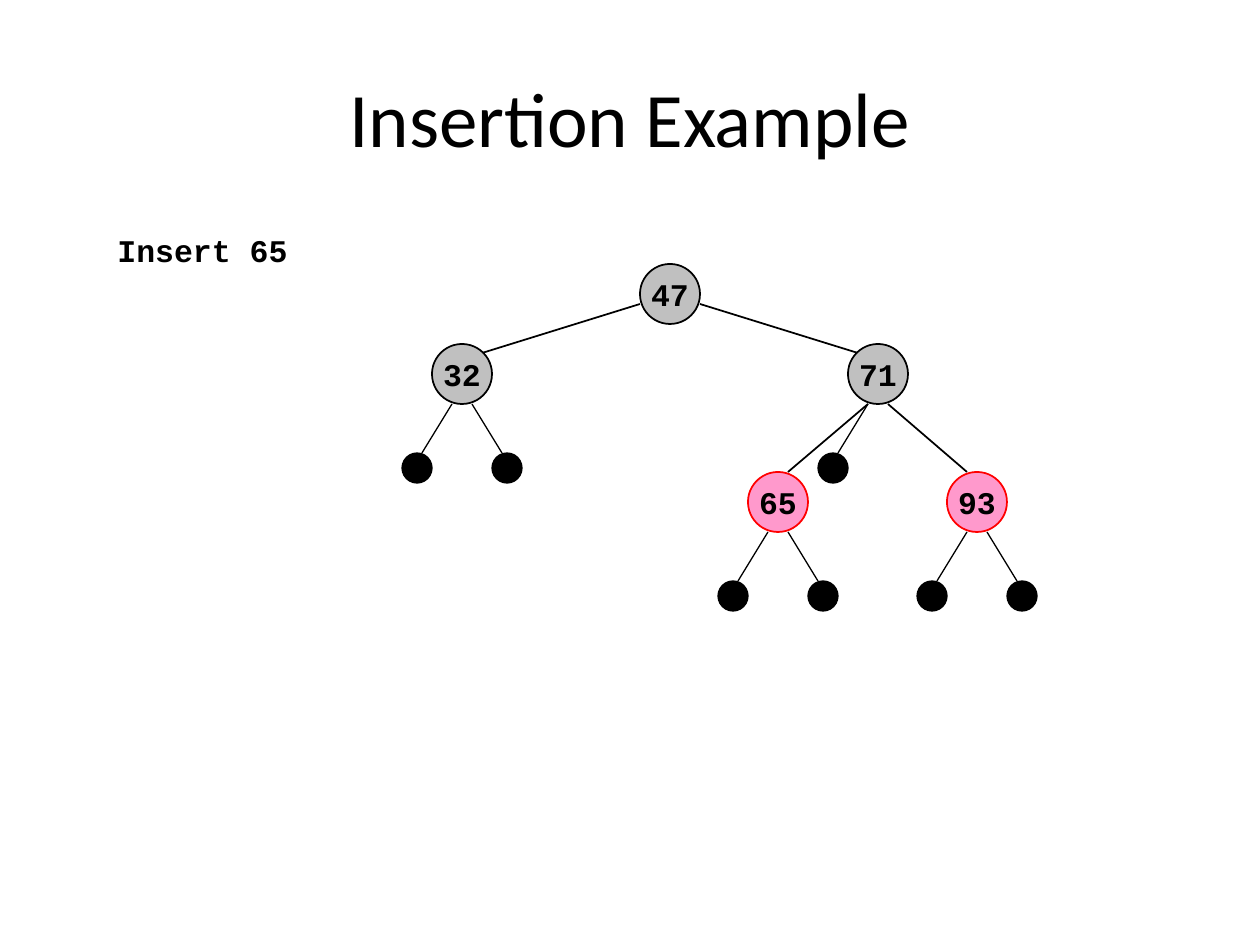
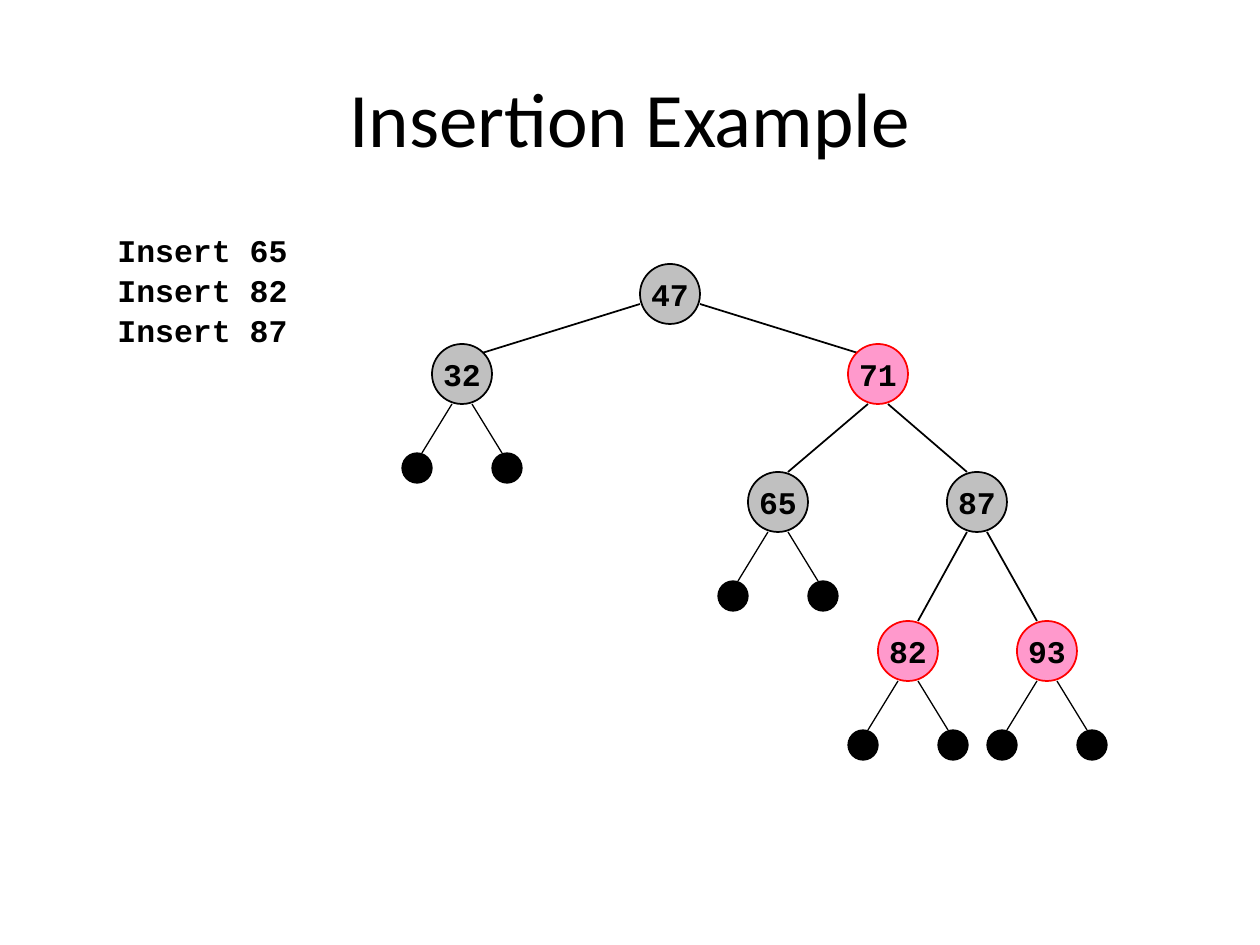
from pptx import Presentation
from pptx import util as u
from pptx.dml.color import RGBColor
from pptx.enum import shapes, text
from pptx.oxml import parse_xml
from pptx.oxml.ns import nsdecls

BLACK = RGBColor(0x00, 0x00, 0x00)
GREY = RGBColor(0xC0, 0xC0, 0xC0)
PINK = RGBColor(0xFF, 0x99, 0xCC)
RED = RGBColor(0xFF, 0x00, 0x00)
TITLE_FONT, CODE_FONT = "Calibri", "Courier New"

TITLE = "Insertion Example"
LEFT, RIGHT = -1, 1
BOTH = (LEFT, RIGHT)
CENTRES = {
    "root": (670, 294),
    "left": (462, 374),
    "right": (878, 374),
    "right left": (778, 502),
    "right right": (977, 502),
    "low left": (908, 651),
    "low right": (1047, 651),
}
CHILDREN = {
    "root": ("left", "right"),
    "right": ("right left", "right right"),
    "right right": ("low left", "low right"),
}
STEPS = [
    {
        "commands": ["Insert 65"],
        "keys": {"root": 47, "left": 32, "right": 71,
                 "right left": 65, "right right": 93},
        "red": {"right left", "right right"},
        "leaves": {"left": BOTH, "right left": BOTH,
                   "right right": BOTH, "right": (LEFT,)},
    },
    {
        "commands": ["Insert 65", "Insert 82", "Insert 87"],
        "keys": {"root": 47, "left": 32, "right": 71, "right left": 65,
                 "right right": 87, "low left": 82, "low right": 93},
        "red": {"right", "low left", "low right"},
        "leaves": {"left": BOTH, "right left": BOTH,
                   "low left": BOTH, "low right": BOTH},
    },
]

RADIUS, LEAF_RADIUS = 30, 15
LEAF_DX, LEAF_DROP = 45, 49
COMMAND_TOP, COMMAND_PITCH = 225, 40


def px(n):
    return u.Emu(round(n * 914400 / 126))


def write(frame, words, font, size, align, bold=False):
    frame.text = words
    paragraph = frame.paragraphs[0]
    paragraph.alignment = align
    paragraph.font.name = font
    paragraph.font.size = u.Pt(size)
    paragraph.font.bold = bold
    paragraph.font.color.rgb = BLACK


def add_words(slide, box, words, *style, anchor=text.MSO_ANCHOR.TOP):
    frame = slide.shapes.add_textbox(*map(px, box)).text_frame
    frame.word_wrap = True
    frame.vertical_anchor = anchor
    write(frame, words, *style)


def add_circle(slide, x, y, radius, fill, line, width):
    circle = slide.shapes.add_shape(
        shapes.MSO_SHAPE.OVAL, px(x - radius), px(y - radius),
        px(2 * radius), px(2 * radius))
    circle.shadow.inherit = False
    circle.fill.solid()
    circle.fill.fore_color.rgb = fill
    circle.line.color.rgb = line
    circle.line.width = u.Pt(width)
    return circle


def add_edge(slide, start, end, width):
    edge = slide.shapes.add_connector(
        shapes.MSO_CONNECTOR.STRAIGHT, *map(px, start + end))
    edge.line.color.rgb = BLACK
    edge.line.width = u.Pt(width)
    edge._element.spPr.append(parse_xml(f"<a:effectLst {nsdecls('a')}/>"))


def add_node(slide, place, key, is_red):
    fill, line = (PINK, RED) if is_red else (GREY, BLACK)
    node = add_circle(slide, *CENTRES[place], RADIUS, fill, line, 1)
    frame = node.text_frame
    frame.margin_left = frame.margin_right = 0
    frame.margin_top = frame.margin_bottom = 0
    frame.word_wrap = False
    frame.vertical_anchor = text.MSO_ANCHOR.MIDDLE
    write(frame, str(key), CODE_FONT, 18, text.PP_ALIGN.CENTER, True)


def add_branch(slide, parent, child, side):
    x, y = CENTRES[parent]
    child_x, child_y = CENTRES[child]
    if parent == "root":
        start = (x + side * RADIUS, y + 10)
        end = (child_x - side * 20, child_y - 21)
    else:
        start = (x + side * 10, y + RADIUS)
        end = (child_x - side * 10, child_y - RADIUS)
    add_edge(slide, start, end, 1)


def add_leaf(slide, parent, side):
    x, y = CENTRES[parent]
    bottom = y + RADIUS
    leaf_top = bottom + LEAF_DROP
    add_edge(slide, (x + side * 10, bottom), (x + side * 40, leaf_top), 0.75)
    add_circle(slide, x + side * LEAF_DX, leaf_top + LEAF_RADIUS,
               LEAF_RADIUS, BLACK, BLACK, 0.75)


def add_step(deck, step):
    slide = deck.slides.add_slide(deck.slide_layouts[6])
    add_words(slide, (63, 38, 1134, 157), TITLE, TITLE_FONT, 44,
              text.PP_ALIGN.CENTER, anchor=text.MSO_ANCHOR.MIDDLE)
    for row, command in enumerate(step["commands"]):
        top = COMMAND_TOP + row * COMMAND_PITCH
        add_words(slide, (105, top, 328, 50), command, CODE_FONT, 18,
                  text.PP_ALIGN.LEFT, True)
    for parent, children in CHILDREN.items():
        for child, side in zip(children, BOTH):
            if child in step["keys"]:
                add_branch(slide, parent, child, side)
    for place, key in step["keys"].items():
        add_node(slide, place, key, place in step["red"])
    for parent, sides in step["leaves"].items():
        for side in sides:
            add_leaf(slide, parent, side)


def main():
    deck = Presentation()
    deck.slide_width, deck.slide_height = px(1260), px(945)
    for step in STEPS:
        add_step(deck, step)
    deck.save("out.pptx")


if __name__ == "__main__":
    main()
